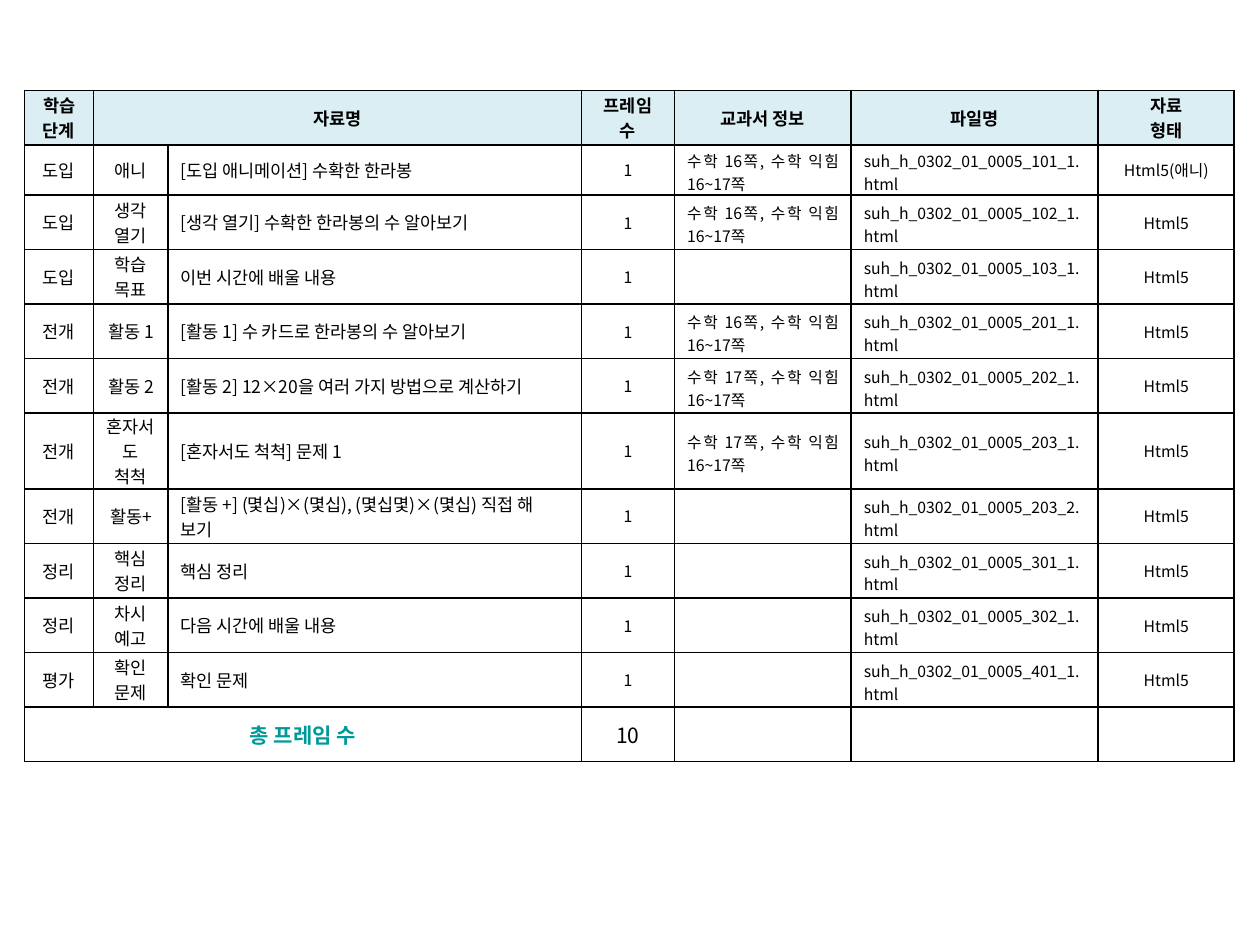
from lxml.etree import SubElement
from pptx import Presentation
from pptx.dml.color import RGBColor
from pptx.enum.text import MSO_ANCHOR as Anchor, PP_ALIGN as Align
from pptx.oxml.ns import qn
from pptx.util import Cm, Pt

HEADERS = ["학습 단계", "자료명", "", "프레임 수", "교과서 정보", "파일명", "자료\n형태"]
# Stage, part, title, textbook page, file number
LESSONS = [
    ("도입", "애니", "[도입 애니메이션] 수확한 한라봉", 16, "101_1"),
    ("도입", "생각 열기", "[생각 열기] 수확한 한라봉의 수 알아보기", 16, "102_1"),
    ("도입", "학습 목표", "이번 시간에 배울 내용", None, "103_1"),
    ("전개", "활동 1", "[활동 1] 수 카드로 한라봉의 수 알아보기", 16, "201_1"),
    ("전개", "활동 2", "[활동 2] 12×20을 여러 가지 방법으로 계산하기", 17, "202_1"),
    ("전개", "혼자서도 척척", "[혼자서도 척척] 문제 1", 17, "203_1"),
    ("전개", "활동+", "[활동 +] (몇십)×(몇십), (몇십몇)×(몇십) 직접 해 보기", None, "203_2"),
    ("정리", "핵심 정리", "핵심 정리", None, "301_1"),
    ("정리", "차시 예고", "다음 시간에 배울 내용", None, "302_1"),
    ("평가", "확인 문제", "확인 문제", None, "401_1"),
]
COLUMN_WIDTHS = [1.4, 1.5, 8.33, 1.88, 3.56, 4.98, 2.74]
ROW_HEIGHTS = [1.1, 1.01, 1.1, 1.1, 1.1, 1.1, 1.52, 1.1, 1.1, 1.1, 1.1, 1.1]
BODY_ALIGNS = [Align.CENTER, Align.CENTER, Align.LEFT, Align.CENTER,
               Align.JUSTIFY, Align.JUSTIFY, Align.CENTER]
BODY_SIZES = [10, 10, 10, 9, 9, 9, 9]
# Wider right margins keep the title and frame count wrapping at whole words
RIGHT_MARGINS = [0.25, 0.25, 0.5, 0.34, 0.25, 0.25, 0.25]


def color(hex_text):
    return RGBColor.from_string(hex_text)


class SlideBuilder:
    font_name = "Noto Sans CJK KR"
    ink, header_fill, accent = "000000", "DBEEF4", "009999"

    def __init__(self, slide):
        self.slide = slide

    def table(self, left, top, widths, heights, right_margins):
        shape = self.slide.shapes.add_table(
            len(heights), len(widths), Cm(left), Cm(top), Cm(sum(widths)), Cm(sum(heights)))
        table = shape.table
        table.first_row = table.horz_banding = False
        for column, width in zip(table.columns, widths):
            column.width = Cm(width)
        for row, height in zip(table.rows, heights):
            row.height = Cm(height)
            for cell, right in zip(row.cells, right_margins):
                self.borders(cell)
                cell.fill.background()
                cell.vertical_anchor = Anchor.MIDDLE
                cell.margin_top = cell.margin_bottom = 0
                cell.margin_right = Cm(right)
        return table

    def borders(self, cell):
        properties = cell._tc.get_or_add_tcPr()
        for side in ("a:lnL", "a:lnR", "a:lnT", "a:lnB"):
            line = SubElement(properties, qn(side), w=str(Pt(1)))
            fill = SubElement(line, qn("a:solidFill"))
            SubElement(fill, qn("a:srgbClr"), val=self.ink)

    def cell(self, cell, text, size, align=Align.CENTER, bold=False, ink=ink, fill=None):
        if fill:
            cell.fill.solid()
            cell.fill.fore_color.rgb = color(fill)
        if not text:
            return
        if align == Align.CENTER:
            cell.margin_left = cell.margin_right
        elif align == Align.JUSTIFY:
            cell.margin_top = Cm(0.08)
        cell.text_frame.text = text
        for paragraph in cell.text_frame.paragraphs:
            paragraph.alignment = align
            for run in paragraph.runs:
                font = run.font
                font.name, font.size, font.bold = self.font_name, Pt(size), bold
                font.color.rgb = color(ink)
                SubElement(run._r.get_or_add_rPr(), qn("a:ea"), typeface=self.font_name)


def main():
    presentation = Presentation()
    presentation.slide_width, presentation.slide_height = Cm(25.4), Cm(19.05)
    builder = SlideBuilder(presentation.slides.add_slide(presentation.slide_layouts[6]))
    table = builder.table(0.49, 1.82, COLUMN_WIDTHS, ROW_HEIGHTS, RIGHT_MARGINS)
    total_row = len(ROW_HEIGHTS) - 1

    # Merged cells
    table.cell(0, 1).merge(table.cell(0, 2))
    table.cell(total_row, 0).merge(table.cell(total_row, 2))

    # Header
    for column, text in enumerate(HEADERS):
        builder.cell(table.cell(0, column), text, 10, bold=True, fill=builder.header_fill)

    # Lesson rows
    for row, (stage, part, title, page, number) in enumerate(LESSONS, start=1):
        textbook = f"수학 {page}쪽, 수학 익힘 16~17쪽" if page else ""
        file_name = f"suh_h_0302_01_0005_{number}.html"
        file_type = "Html5(애니)" if part == "애니" else "Html5"
        values = [stage, part, title, "1", textbook, file_name, file_type]
        for column, (text, size, align) in enumerate(zip(values, BODY_SIZES, BODY_ALIGNS)):
            builder.cell(table.cell(row, column), text, size, align)

    # Total
    builder.cell(table.cell(total_row, 0), "총 프레임 수", 12, bold=True, ink=builder.accent)
    builder.cell(table.cell(total_row, 3), str(len(LESSONS)), 12)

    presentation.save("out.pptx")


if __name__ == "__main__":
    main()
